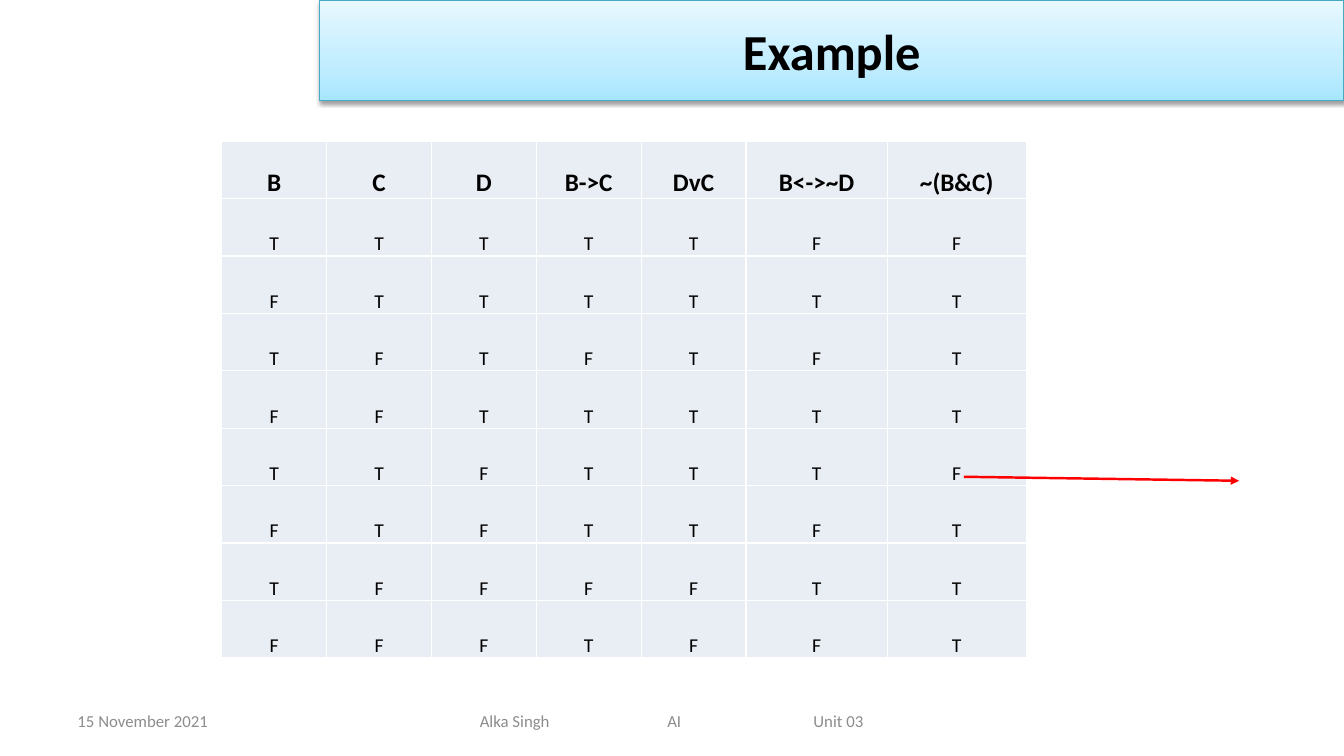
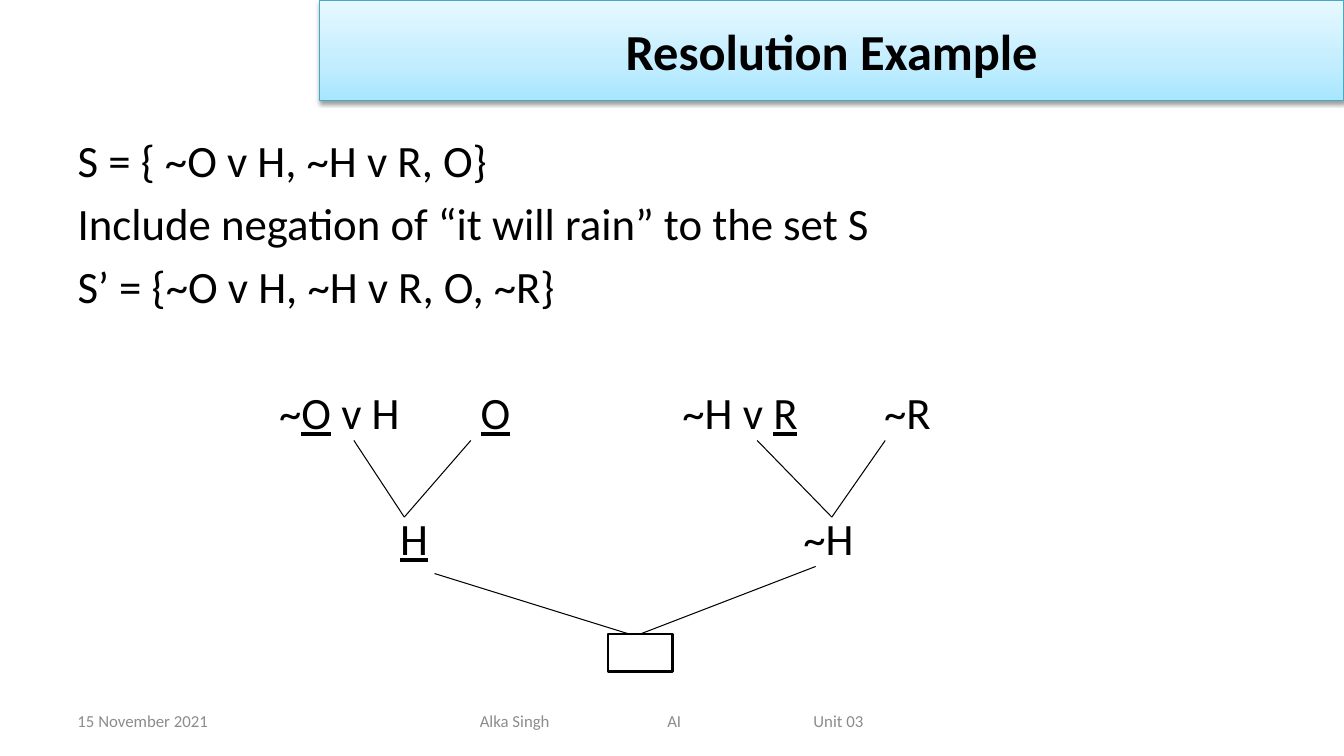
import copy
import itertools
from dataclasses import dataclass

import pptx
import pptx.dml.color
import pptx.enum.shapes
import pptx.enum.text
import pptx.oxml
import pptx.oxml.ns
import pptx.util
from lxml import etree

Inches = pptx.util.Inches
Pt = pptx.util.Pt
qn = pptx.oxml.ns.qn
ALIGN = pptx.enum.text.PP_ALIGN
ANCHOR = pptx.enum.text.MSO_ANCHOR


@dataclass(frozen=True)
class Theme:
    font: str = "Calibri"
    text: str = "000000"
    muted: str = "8C8C8C"
    paper: str = "FFFFFF"
    cell: str = "E9EDF4"
    accent: str = "FF0000"
    band_line: str = "46AAC5"
    band_stops: tuple = ((0, "A7E6FF"), (0.35, "C1EDFF"), (1, "E7F8FF"))
    title_size: int = 36
    body_size: int = 32
    header_size: int = 18
    cell_size: int = 14
    footer_size: int = 12


def rgb(color):
    return pptx.dml.color.RGBColor.from_string(color)


def add_xml(parent, tag, **attributes):
    return etree.SubElement(parent, qn(tag), attributes)


def add_tab_stops(para, stops):
    tab_list = add_xml(para._p.get_or_add_pPr(), "a:tabLst")
    for stop in stops:
        add_xml(tab_list, "a:tab", pos=str(Inches(stop)), algn="l")


class SlideBuilder:
    TITLE_AND_CONTENT, TITLE_ONLY = 1, 5

    def __init__(self, deck, theme):
        self.deck = deck
        self.theme = theme
        self.page = None

    def start(self, layout, title):
        """Begin a slide with its title band and footer."""
        self.page = self.deck.slides.add_slide(self.deck.slide_layouts[layout])
        self.title_band(title)
        self.footer(0.67, 3.11, "15 November 2021")
        self.footer(4.66, 4.22, "Alka Singh\tAI\tUnit 03", (1.86, 3.31))

    def place(self, shape, left, top, width, height):
        shape.left, shape.top = Inches(left), Inches(top)
        shape.width, shape.height = Inches(width), Inches(height)

    def style(self, para, size, color=None, bold=False):
        font = para.font
        font.name, font.size, font.bold = self.theme.font, Pt(size), bold
        font.color.rgb = rgb(color or self.theme.text)

    def outline(self, shape, color, width):
        shape.line.color.rgb = rgb(color)
        shape.line.width = Pt(width)

    def title_band(self, text):
        band = self.page.shapes.title
        self.place(band, 3.17, 0, 10.16, 1)
        properties = band.element.spPr
        band.fill.gradient()
        band.fill.gradient_angle = 90
        stop_list = properties.find(".//" + qn("a:gsLst"))
        stop_list.insert(1, copy.deepcopy(stop_list[0]))
        for stop, (position, color) in zip(band.fill.gradient_stops, self.theme.band_stops):
            stop.position = position
            stop.color.rgb = rgb(color)
        self.outline(band, self.theme.band_line, 0.75)

        band.shadow.inherit = False
        shadow = add_xml(properties.find(qn("a:effectLst")), "a:outerShdw",
                         blurRad=str(Pt(3.1)), dist=str(Pt(1.6)),
                         dir="5400000", rotWithShape="0")
        add_xml(add_xml(shadow, "a:srgbClr", val=self.theme.text), "a:alpha", val="38000")

        frame = band.text_frame
        frame.text = text
        frame.auto_size = pptx.enum.text.MSO_AUTO_SIZE.NONE
        frame.vertical_anchor = ANCHOR.MIDDLE
        para = frame.paragraphs[0]
        para.alignment = ALIGN.CENTER
        self.style(para, self.theme.title_size, bold=True)

    def text_box(self, left, top, width, height):
        """Add a wrapping text box and return its text frame."""
        box = self.page.shapes.add_textbox(
            Inches(left), Inches(top), Inches(width), Inches(height))
        box.text_frame.word_wrap = True
        return box.text_frame

    def footer(self, left, width, text, stops=()):
        frame = self.text_box(left, 6.95, width, 0.4)
        frame.vertical_anchor = ANCHOR.MIDDLE
        para = frame.paragraphs[0]
        para.text = text
        if stops:
            add_tab_stops(para, stops)
        self.style(para, self.theme.footer_size, self.theme.muted)

    def body(self, lines):
        holder = self.page.placeholders[1]
        self.place(holder, 0.67, 1.27, 12.5, 2.2)
        frame = holder.text_frame
        frame.auto_size = pptx.enum.text.MSO_AUTO_SIZE.NONE
        frame.text = "\n".join(lines)
        for para in frame.paragraphs:
            para.space_before = Pt(6.4)
            properties = para._p.get_or_add_pPr()
            properties.set("marL", "0")
            properties.set("indent", "0")
            add_xml(properties, "a:buNone")
            self.style(para, self.theme.body_size)

    def clause(self, left, top, text):
        """Add a clause label in which _x_ underlines x."""
        para = self.text_box(left, top, 1.6, 0.64).paragraphs[0]
        self.style(para, self.theme.body_size)
        for part, words in enumerate(text.split("_")):
            if words:
                span = para.add_run()
                span.text = words
                if part % 2:
                    span.font.underline = True

    def table(self, left, top, widths, row_height, rows):
        frame = self.page.shapes.add_table(
            len(rows), len(widths), Inches(left), Inches(top),
            Inches(sum(widths)), Inches(row_height * len(rows)))
        table = frame.table
        table.first_row = table.horz_banding = False
        for column, width in zip(table.columns, widths):
            column.width = Inches(width)
        for row_index, values in enumerate(rows):
            table.rows[row_index].height = Inches(row_height)
            for column_index, value in enumerate(values):
                self.cell(table.cell(row_index, column_index), value, row_index == 0)

    def cell(self, cell, text, is_header):
        cell.text = text
        cell.vertical_anchor = ANCHOR.BOTTOM
        cell.margin_left = cell.margin_right = cell.margin_top = Inches(0.01)
        cell.margin_bottom = 0
        properties = cell._tc.get_or_add_tcPr()
        for side in "LRTB":
            border = add_xml(properties, f"a:ln{side}", w=str(Pt(1)))
            add_xml(add_xml(border, "a:solidFill"), "a:srgbClr", val=self.theme.paper)
        cell.fill.solid()
        cell.fill.fore_color.rgb = rgb(self.theme.cell)
        para = cell.text_frame.paragraphs[0]
        para.alignment = ALIGN.CENTER
        size = self.theme.header_size if is_header else self.theme.cell_size
        self.style(para, size, bold=is_header)

    def line(self, start, end, color=None, width=0.75, arrow=False):
        connector = self.page.shapes.add_connector(
            pptx.enum.shapes.MSO_CONNECTOR.STRAIGHT,
            *(Inches(value) for value in (*start, *end)))
        self.outline(connector, color or self.theme.text, width)
        properties = connector.element.spPr
        if arrow:
            add_xml(properties.find(qn("a:ln")), "a:tailEnd", type="triangle")
        add_xml(properties, "a:effectLst")
        return connector

    def rectangle(self, left, top, width, height):
        box = self.page.shapes.add_shape(
            pptx.enum.shapes.MSO_SHAPE.RECTANGLE,
            Inches(left), Inches(top), Inches(width), Inches(height))
        box.shadow.inherit = False
        box.fill.solid()
        box.fill.fore_color.rgb = rgb(self.theme.paper)
        self.outline(box, self.theme.text, 2)
        return box


def truth_table():
    rows = [("B", "C", "D", "B->C", "DvC", "B<->~D", "~(B&C)")]
    for d, c, b in itertools.product((True, False), repeat=3):
        values = (b, c, d, not b or c, d or c, b != d, not (b and c))
        rows.append(["T" if value else "F" for value in values])
    return rows


def example_slide(builder):
    builder.start(builder.TITLE_ONLY, "Example")
    builder.table(2.2, 1.4, [1.04] * 5 + [1.4, 1.38], 0.57, truth_table())
    builder.line((9.56, 4.73), (12.29, 4.77), builder.theme.accent, 1.75, arrow=True)


def resolution_slide(builder):
    builder.start(builder.TITLE_AND_CONTENT, "Resolution Example")
    builder.body([
        "S = { ~O v H, ~H v R, O}",
        "Include negation of “it will rain” to the set S",
        "S’ = {~O v H, ~H v R, O, ~R}",
    ])
    for index, text in enumerate(("~_O_ v H", "_O_", "~H v _R_", "~R")):
        builder.clause(2.67 + 2 * index, 3.77, text)
    for left, text in ((3.87, "_H_"), (7.87, "~H")):
        builder.clause(left, 5.02, text)

    clause_bottom, resolvent_top = 4.37, 5.13
    for resolvent, clauses in ((4.01, (3.51, 4.67)), (8.25, (7.51, 8.78))):
        for clause in clauses:
            builder.line((clause, clause_bottom), (resolvent, resolvent_top))
    empty_clause = builder.rectangle(6.03, 6.29, 0.64, 0.37)
    builder.line((4.31, 5.69), (6.24, 6.29))
    builder.line((6.35, 6.29), (8.09, 5.62)).begin_connect(empty_clause, 0)


def main():
    deck = pptx.Presentation()
    deck.slide_width, deck.slide_height = Inches(13.33), Inches(7.5)
    builder = SlideBuilder(deck, Theme())
    example_slide(builder)
    resolution_slide(builder)
    deck.save("out.pptx")


if __name__ == "__main__":
    main()
